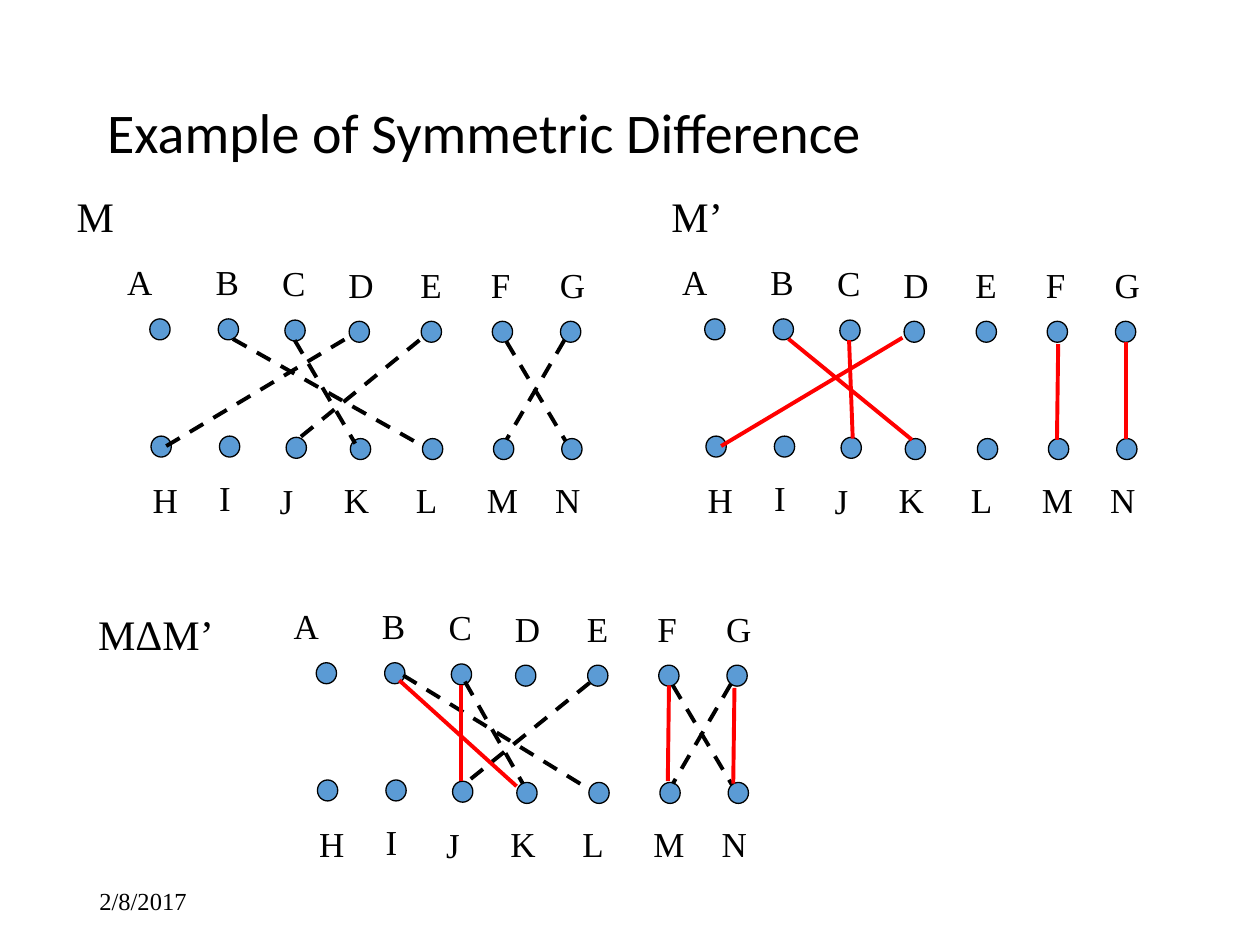
"""Build the slide showing the symmetric difference of two matchings."""
from lxml import etree
from pptx import Presentation
from pptx.dml.color import RGBColor
from pptx.enum.dml import MSO_LINE
from pptx.enum.shapes import MSO_CONNECTOR, MSO_SHAPE
from pptx.enum.text import MSO_ANCHOR, PP_ALIGN
from pptx.oxml.ns import qn
from pptx.util import Pt

OVAL, STRAIGHT = MSO_SHAPE.OVAL, MSO_CONNECTOR.STRAIGHT
DASH, MIDDLE, TOP, LEFT = MSO_LINE.DASH, MSO_ANCHOR.MIDDLE, MSO_ANCHOR.TOP, PP_ALIGN.LEFT

THEME = {
    "ink": RGBColor(0x00, 0x00, 0x00),
    "dot": RGBColor(0x5B, 0x9B, 0xD5),
    "red": RGBColor(0xFF, 0x00, 0x00),
    "title_font": "Calibri",
    "font": "Times New Roman",
    "title": 32, "name": 24, "label": 20, "date": 14,
    "outline": 0.75, "edge": 2.25,
}

TITLE = "Example of Symmetric Difference"
TITLE_BOX = (54, 48.2, 612, 58.3)
DATE = ("2/8/2017", (49.7, 500.4, 162, 28.8))
DOT_W, DOT_H = 11.6, 12

# letter, dot x, dot y, label shift x, label shift y
NODES = [
    ("A", 0, 0, -20, -36.7), ("B", 39.1, 0, -8.6, -36.7), ("C", 77.2, 0.7, -8.6, -37),
    ("D", 113.9, 1.4, -7.5, -36.7), ("E", 155.1, 1.4, -7.5, -36.7),
    ("F", 195.7, 1.4, -7.8, -36.7), ("G", 234.7, 1.4, -7.5, -36.7),
    ("H", 0.7, 67, -6.1, 20.6), ("I", 39.8, 67, -7.2, 19.4), ("J", 77.9, 67.7, -10.8, 20.6),
    ("K", 114.6, 68.4, -10.8, 19.4), ("L", 155.8, 68.4, -10.8, 19.4),
    ("M", 196.4, 68.4, -10.8, 19.4), ("N", 235.4, 68.4, -10.8, 19.4),
]

HD = (9.4, 72.7, 113, 10.8)
FN = (203.8, 13, 237.6, 69.8)
GM = (236.9, 12.2, 203.8, 69.1)

GRAPHS = [
    {"name": "M", "name_box": (36.7, 105.1, 51.1, 36), "origin": (85.6, 182.2),
     "dashed": [HD, (82.8, 12.2, 117.4, 71.3), (154.1, 12.2, 84.2, 69.1),
                FN, GM, (47.5, 11.5, 154.8, 72)],
     "solid": []},
    {"name": "M’", "name_box": (376.6, 105.1, 51.1, 36), "origin": (402.7, 182.2),
     "dashed": [],
     "solid": [HD, (82.5, 12.2, 84.6, 68.4), (202, 14.4, 201.3, 69.1),
               (240.8, 13, 240.8, 68.4), (47.9, 11.5, 118.4, 69.1)]},
    {"name": "MΔM’", "name_box": (49, 344.2, 86.4, 36), "origin": (180.7, 378.7),
     "dashed": [(85, 10.8, 118.1, 69.1), (156.2, 11.5, 85, 69.1),
                (49.7, 7.2, 155.5, 72), FN, GM],
     "solid": [(201.6, 13, 200.9, 67.7), (239, 14.4, 238.3, 69.1),
               (47.5, 10.1, 114.5, 70.6), (82.8, 13, 82.8, 67.7)]},
]


def points(values):
    return [Pt(v) for v in values]


def style(p, font, size):
    p.font.name = font
    p.font.size = Pt(size)
    p.font.color.rgb = THEME["ink"]
    p.alignment = LEFT


def add_text(s, text, box, size, anchor=TOP):
    tf = s.shapes.add_textbox(*points(box)).text_frame
    tf.word_wrap = True
    tf.vertical_anchor = anchor
    p = tf.paragraphs[0]
    p.text = text
    style(p, THEME["font"], THEME[size])


def add_dot(s, x, y):
    sp = s.shapes.add_shape(OVAL, *points((x, y, DOT_W, DOT_H)))
    sp.shadow.inherit = False
    sp.fill.solid()
    sp.fill.fore_color.rgb = THEME["dot"]
    sp.line.color.rgb = THEME["ink"]
    sp.line.width = Pt(THEME["outline"])


def add_edge(s, x, y, edge, color, dash=None):
    x1, y1, x2, y2 = edge
    line = s.shapes.add_connector(STRAIGHT, *points((x + x1, y + y1, x + x2, y + y2)))
    line.line.color.rgb = THEME[color]
    line.line.width = Pt(THEME["edge"])
    if dash:
        line.line.dash_style = dash
    etree.SubElement(line._element.spPr, qn("a:effectLst"))


def add_graph(s, graph):
    x, y = graph["origin"]
    add_text(s, graph["name"], graph["name_box"], "name")
    for letter, dx, dy, label_dx, label_dy in NODES:
        add_dot(s, x + dx, y + dy)
        add_text(s, letter, (x + dx + label_dx, y + dy + label_dy, 28, 31), "label")
    for edge in graph["dashed"]:
        add_edge(s, x, y, edge, "ink", DASH)
    for edge in graph["solid"]:
        add_edge(s, x, y, edge, "red")


prs = Presentation()
prs.slide_width, prs.slide_height = Pt(720), Pt(540)
s = prs.slides.add_slide(prs.slide_layouts[5])

title = s.shapes.title
title.left, title.top, title.width, title.height = points(TITLE_BOX)
title.text_frame.vertical_anchor = MIDDLE
p = title.text_frame.paragraphs[0]
p.text = TITLE
p.line_spacing = 0.9
style(p, THEME["title_font"], THEME["title"])

add_text(s, *DATE, "date", MIDDLE)
for graph in GRAPHS:
    add_graph(s, graph)

prs.save("out.pptx")
